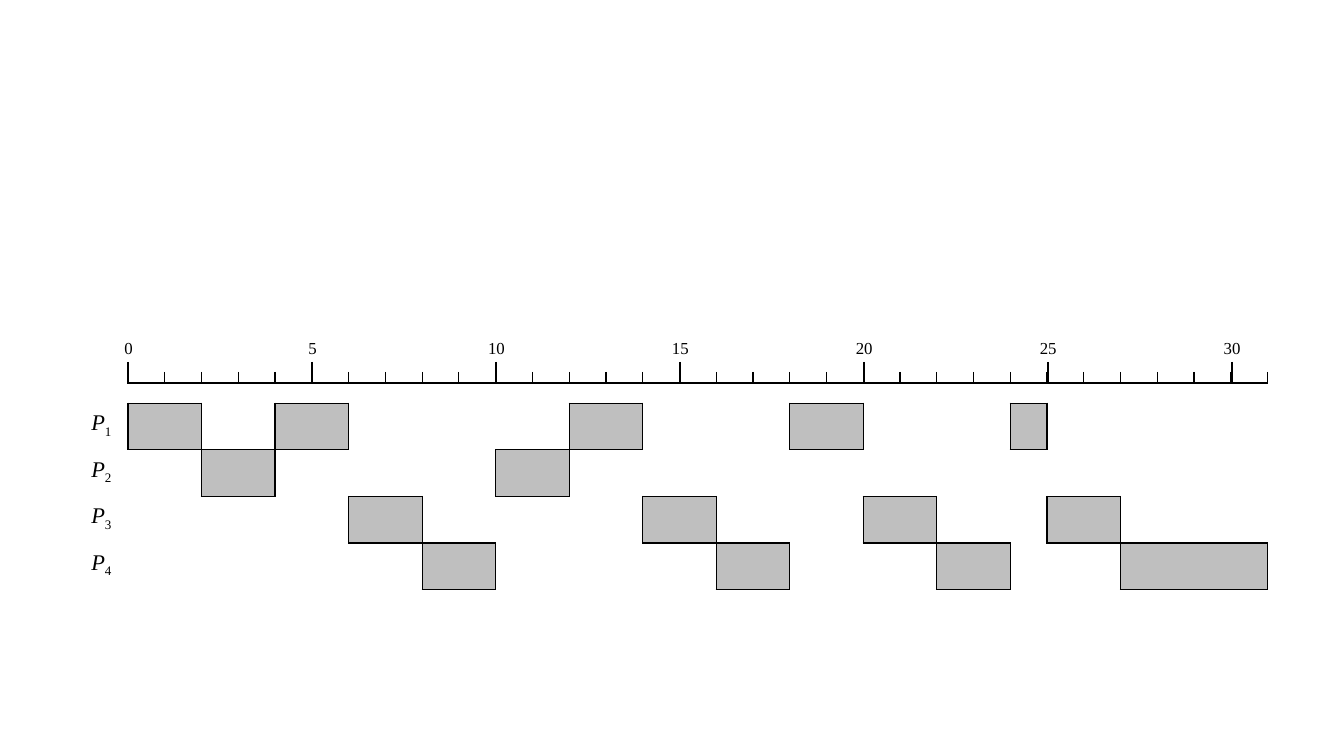
import collections

import lxml.etree
import pptx
import pptx.dml.color
import pptx.enum.shapes
import pptx.enum.text
import pptx.oxml
import pptx.oxml.ns
import pptx.util

Inches, Pt, qn = pptx.util.Inches, pptx.util.Pt, pptx.oxml.ns.qn
BLACK, GREY = "000000", "BFBFBF"
NO_GRID_STYLE = "{2D5ABB26-0587-4C30-8999-92F81FD0307C}"
LEFT, WIDTH, UNITS = 1.27, 11.31, 31
UNIT = WIDTH / UNITS
BARS_TOP, BARS_HEIGHT = 4, 1.85
RULER_TOP, RULER_HEIGHT = 3.69, 0.11

# Start and end of each time slice, by process
schedule = [
    [(0, 2), (4, 6), (12, 14), (18, 20), (24, 25)],
    [(2, 4), (10, 12)],
    [(6, 8), (14, 16), (20, 22), (25, 27)],
    [(8, 10), (16, 18), (22, 24), (27, 31)],
]

deck = pptx.Presentation()
deck.slide_width, deck.slide_height = Inches(13.33), Inches(7.5)
slide = deck.slides.add_slide(deck.slide_layouts[6])


def color(hex_string):
    return pptx.dml.color.RGBColor.from_string(hex_string)


def add_label(left, top, height, size, parts):
    """Add a centred label; parts holds (text, italic, baseline) runs."""
    label = slide.shapes.add_textbox(Inches(left), Inches(top), Inches(0.45), Inches(height))
    label.text_frame.word_wrap = True
    label.text_frame.auto_size = pptx.enum.text.MSO_AUTO_SIZE.SHAPE_TO_FIT_TEXT
    paragraph = label.text_frame.paragraphs[0]
    paragraph.alignment = pptx.enum.text.PP_ALIGN.CENTER
    for text, italic, baseline in parts:
        run = paragraph.add_run()
        run.text = text
        run.font.color.rgb = color(BLACK)
        look = {"name": "Times New Roman", "size": Pt(size), "italic": italic}
        for attribute, value in look.items():
            setattr(run.font, attribute, value)
        if baseline:
            run.font._element.set("baseline", str(baseline))


# Edges of the bars, shared with the neighbouring cells
bar_edges = collections.defaultdict(set)
for row, slices in enumerate(schedule):
    for start, end in slices:
        bar_edges[row, start] |= set("LRTB")
        bar_edges[row, end - 1].add("R")
        bar_edges[row, start - 1].add("R")
        bar_edges[row, end].add("L")
        for column in range(start, end):
            bar_edges[row, column] |= set("TB")
            bar_edges[row - 1, column].add("B")
            bar_edges[row + 1, column].add("T")
ruler_edges = {(0, column): set("LRB") for column in range(UNITS)}

# Gantt bars and ruler, both one column per time unit
grids = [
    (BARS_TOP, BARS_HEIGHT, schedule, bar_edges),
    (RULER_TOP, RULER_HEIGHT, [[]], ruler_edges),
]
for top, height, rows, edges in grids:
    grid = slide.shapes.add_table(
        len(rows), UNITS, Inches(LEFT), Inches(top), Inches(WIDTH), Inches(height)
    ).table
    grid.first_row = grid.horz_banding = False
    grid._tbl.tblPr.find(qn("a:tableStyleId")).text = NO_GRID_STYLE
    for row, slices in enumerate(rows):
        filled = {column for start, end in slices for column in range(start, end)}
        for column in range(UNITS):
            cell = grid.cell(row, column)
            for side in ("left", "right", "top", "bottom"):
                setattr(cell, "margin_" + side, 0)
            paragraph = cell.text_frame.paragraphs[0]._p
            lxml.etree.SubElement(paragraph, qn("a:endParaRPr")).set("sz", "100")
            properties = cell._tc.get_or_add_tcPr()
            # Absent sides need an explicit empty line
            for side in "LRTB":
                border = lxml.etree.SubElement(properties, qn("a:ln" + side), w="12700")
                if side in edges.get((row, column), ()):
                    stroke = lxml.etree.SubElement(border, qn("a:solidFill"))
                    lxml.etree.SubElement(stroke, qn("a:srgbClr"), val=BLACK)
                else:
                    lxml.etree.SubElement(border, qn("a:noFill"))
            if column in filled:
                cell.fill.solid()
                cell.fill.fore_color.rgb = color(GREY)
            else:
                cell.fill.background()
        for start, end in slices:
            if end - start > 1:
                grid.cell(row, start).merge(grid.cell(row, end - 1))

# Long ticks and numbers every five units
for time in range(0, UNITS, 5):
    x = LEFT + time * UNIT
    tick = slide.shapes.add_connector(
        pptx.enum.shapes.MSO_CONNECTOR.STRAIGHT, Inches(x), Inches(3.59), Inches(x), Inches(3.81)
    )
    tick.line.color.rgb = color(BLACK)
    tick.line.width = Pt(1.5)
    lxml.etree.SubElement(tick._element.spPr, qn("a:effectLst"))
    add_label(x - 0.22, 3.3, 0.3, 12, [(str(time), False, 0)])

# Process names
for row in range(len(schedule)):
    top = BARS_TOP + row * BARS_HEIGHT / len(schedule)
    add_label(0.78, top, 0.37, 16, [("P", True, 0), (str(row + 1), False, -25000)])

deck.save("out.pptx")
